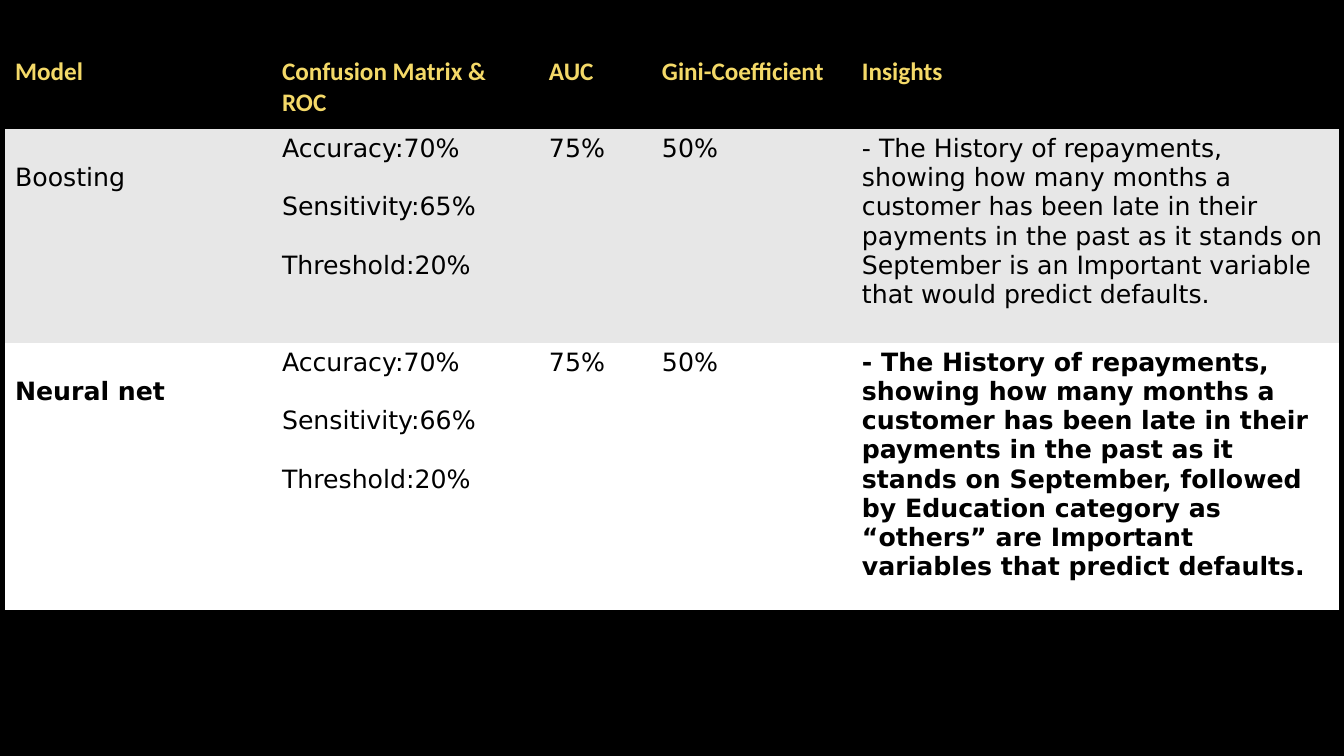
from dataclasses import dataclass

from lxml import etree
from pptx import Presentation
from pptx.dml.color import RGBColor
from pptx.oxml.ns import qn
from pptx.util import Emu, Pt

SCALE = 914400 / 100.8
BLANK_LAYOUT = 6
COLUMN_WIDTHS = (267, 267, 113, 200, 487)
ROW_HEIGHTS = (108, 214, 268)
TABLE_LEFT, TABLE_TOP = 5, 21
CELL_TOP = 5
HEADER_TOP = 36
NAME_TOP = 34


@dataclass(frozen=True)
class Theme:
    """Colours, fonts and type sizes of the slide."""
    black: str = "000000"
    gold: str = "F4D968"
    grey: str = "E7E7E7"
    white: str = "FFFFFF"
    header_font: str = "Calibri"
    body_font: str = "DejaVu Sans"
    text_size: int = 18
    metric_gap: int = 21
    rule_width: int = 2


THEME = Theme()
HEADERS = (["Model"], ["Confusion Matrix &", "ROC"], ["AUC"], ["Gini-Coefficient"], ["Insights"])
HISTORY = ("- The History of repayments, showing how many months a customer has been "
           "late in their payments in the past as it stands on September")
MODELS = (
    ("Boosting", "65%", " is an Important variable that would predict defaults.", THEME.grey, False),
    ("Neural net", "66%", ", followed by Education category as “others” are Important "
     "variables that predict defaults.", THEME.white, True),
)


def px(length):
    """Turn whole pixels into EMU."""
    return Emu(round(length * SCALE))


def set_borders(cell, ruled):
    """Draw black lines on the ruled edges and clear the others."""
    properties = cell._tc.get_or_add_tcPr()
    for edge in "LRTB":
        line = etree.SubElement(properties, qn(f"a:ln{edge}"))
        if edge in ruled:
            line.set("w", str(Pt(THEME.rule_width)))
            fill = etree.SubElement(line, qn("a:solidFill"))
            etree.SubElement(fill, qn("a:srgbClr"), val=THEME.black)
        else:
            etree.SubElement(line, qn("a:noFill"))


def fill_cell(cell, lines, fill, color, font, bold=False, top=CELL_TOP, gap=0, ruled=""):
    """Write styled lines into a cell and paint its fill and borders."""
    set_borders(cell, ruled)
    cell.fill.solid()
    cell.fill.fore_color.rgb = RGBColor.from_string(fill)
    cell.margin_top = px(top)
    frame = cell.text_frame
    for index, line in enumerate(lines):
        para = frame.add_paragraph() if index else frame.paragraphs[0]
        para.space_before = Pt(gap if index else 0)
        span = para.add_run()
        span.text = line
        span.font.name = font
        span.font.size = Pt(THEME.text_size)
        span.font.bold = bold
        span.font.color.rgb = RGBColor.from_string(color)


def add_model_table(page):
    """Add the empty table with its column widths and row heights."""
    table = page.shapes.add_table(
        len(ROW_HEIGHTS), len(COLUMN_WIDTHS), px(TABLE_LEFT), px(TABLE_TOP),
        px(sum(COLUMN_WIDTHS)), px(sum(ROW_HEIGHTS))).table
    for column, width in zip(table.columns, COLUMN_WIDTHS):
        column.width = px(width)
    for row, height in zip(table.rows, ROW_HEIGHTS):
        row.height = px(height)
    return table


def fill_model_row(row, model, ruled):
    """Write one model's name, metrics and insight."""
    name, sensitivity, finding, fill, bold = model
    metrics = ["Accuracy:70%", f"Sensitivity:{sensitivity}", "Threshold:20%"]
    contents = ([name], metrics, ["75%"], ["50%"], [HISTORY + finding])
    last = len(contents) - 1
    for index, (cell, lines) in enumerate(zip(row.cells, contents)):
        fill_cell(cell, lines, fill, THEME.black, THEME.body_font,
                  bold=bold and index in (0, last),
                  top=CELL_TOP if index else NAME_TOP,
                  gap=THEME.metric_gap, ruled=ruled)


def main():
    """Build the model comparison slide."""
    deck = Presentation()
    deck.slide_width, deck.slide_height = px(1344), px(756)
    page = deck.slides.add_slide(deck.slide_layouts[BLANK_LAYOUT])
    page.background.fill.solid()
    page.background.fill.fore_color.rgb = RGBColor.from_string(THEME.black)
    table = add_model_table(page)
    for cell, lines in zip(table.rows[0].cells, HEADERS):
        fill_cell(cell, lines, THEME.black, THEME.gold, THEME.header_font,
                  bold=True, top=HEADER_TOP, ruled="T")
    for index, model in enumerate(MODELS, start=1):
        fill_model_row(table.rows[index], model, "B" if index == len(MODELS) else "")
    deck.save("out.pptx")


main()
